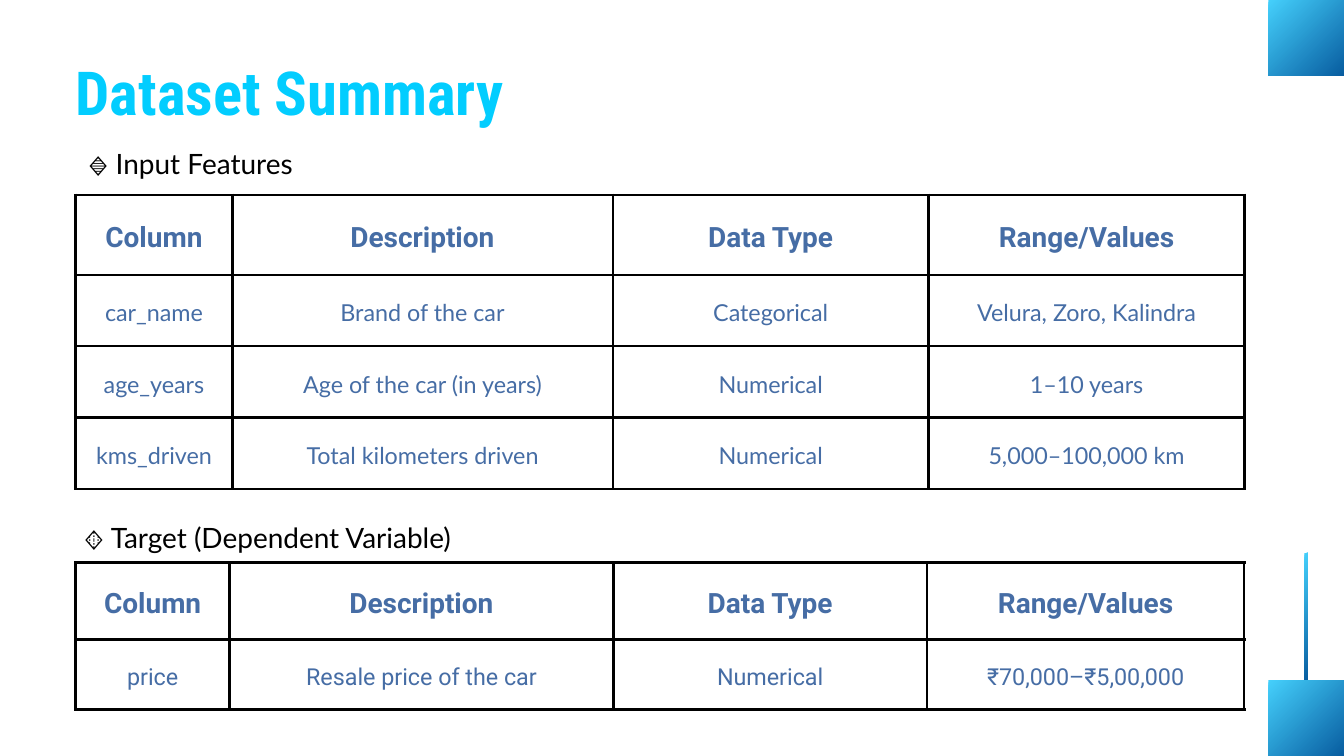
from typing import NamedTuple

from lxml.etree import SubElement
from pptx import Presentation
from pptx.dml.color import RGBColor
from pptx.enum.shapes import MSO_SHAPE
from pptx.enum.text import MSO_ANCHOR, PP_ALIGN
from pptx.oxml.ns import qn
from pptx.util import Cm, Pt

WIDE, HIGH = 50.8, 28.58
EDGE = 2.86  # left margin, and the side of the corner squares
PAD = 0.53
HEADS = ("Column", "Description", "Data Type", "Range/Values")


class Block(NamedTuple):
    left: float
    top: float
    width: float
    height: float


class Style(NamedTuple):
    size: float
    font: str
    color: str
    bold: bool
    line: float
    align: PP_ALIGN = PP_ALIGN.CENTER


class Label(NamedTuple):
    box: Block
    text: str
    style: Style


class Grid(NamedTuple):
    top: float
    cols: tuple[float, ...]
    head: float
    row: float
    body: Style
    rows: tuple[tuple[str, ...], ...]


TITLE = Style(65, "Roboto Condensed", "02CDFF", True, 71.5, PP_ALIGN.LEFT)
LABEL = Style(30, "Lato", "000000", False, 42)
HEAD = Style(30, "Roboto", "466DA5", True, 42)
BODY = Style(25, "Lato", "466DA5", False, 35)

BLOCKS = (
    Block(49.3, 20.9, 0.14, 4.84),
    Block(WIDE - EDGE, 0, EDGE, EDGE),
    Block(WIDE - EDGE, HIGH - EDGE, EDGE, EDGE),
)
LABELS = (
    Label(Block(EDGE, 2.31, 21.46, 2.57), "Dataset Summary", TITLE),
    Label(Block(2.13, 5.31, 10.13, 1.4), "🔹 Input Features", LABEL),
    Label(Block(1.65, 19.48, 16.92, 1.42), "🔸 Target (Dependent Variable)", LABEL),
)
GRIDS = (
    Grid(7.37, (5.92, 14.38, 11.94, 11.94), 3.02, 2.7, BODY, (
        ("car_name", "Brand of the car", "Categorical", "Velura, Zoro, Kalindra"),
        ("age_years", "Age of the car (in years)", "Numerical", "1–10 years"),
        ("kms_driven", "Total kilometers driven", "Numerical", "5,000–100,000 km"),
    )),
    Grid(21.26, (5.82, 14.5, 11.86, 11.99), 2.92, 2.64, BODY._replace(font="Roboto"), (
        ("price", "Resale price of the car", "Numerical", "₹70,000–₹5,00,000"),
    )),
)


def paint(color, code: str) -> None:
    color.rgb = RGBColor.from_string(code)


def write(frame, text: str, style: Style) -> None:
    para = frame.paragraphs[0]
    para.alignment = style.align
    para.line_spacing = Pt(style.line)
    run = para.add_run()
    run.text = text
    run.font.size = Pt(style.size)
    run.font.name = style.font
    run.font.bold = style.bold
    paint(run.font.color, style.color)


def draw_block(slide, block: Block) -> None:
    shape = slide.shapes.add_shape(MSO_SHAPE.RECTANGLE, *map(Cm, block))
    shape.shadow.inherit = False
    shape.line.fill.background()
    shape.fill.gradient()
    shape.fill.gradient_angle = 315
    for stop, code in zip(shape.fill.gradient_stops, ("45D0FC", "085DA0")):
        paint(stop.color, code)


def draw_label(slide, label: Label) -> None:
    frame = slide.shapes.add_textbox(*map(Cm, label.box)).text_frame
    frame.word_wrap = True
    frame.margin_left = frame.margin_right = 0
    frame.margin_top = frame.margin_bottom = 0
    write(frame, label.text, label.style)


def border(cell, code: str, width: float) -> None:
    props = cell._tc.get_or_add_tcPr()
    for spot, side in enumerate(("lnL", "lnR", "lnT", "lnB")):
        line = SubElement(props, qn(f"a:{side}"), w=str(Pt(width)))
        fill = SubElement(line, qn("a:solidFill"))
        SubElement(fill, qn("a:srgbClr"), val=code)
        props.insert(spot, line)  # borders must come before the fill


def draw_grid(slide, grid: Grid) -> None:
    rows = (HEADS, *grid.rows)
    highs = [grid.head] + [grid.row] * len(grid.rows)
    table = slide.shapes.add_table(
        len(rows), len(HEADS), Cm(EDGE), Cm(grid.top),
        Cm(sum(grid.cols)), Cm(sum(highs))).table
    table.first_row = table.horz_banding = False
    for col, width in zip(table.columns, grid.cols):
        col.width = Cm(width)
    for r, (texts, high) in enumerate(zip(rows, highs)):
        table.rows[r].height = Cm(high)
        for c, text in enumerate(texts):
            cell = table.cell(r, c)
            cell.vertical_anchor = MSO_ANCHOR.MIDDLE
            cell.margin_left = cell.margin_right = Cm(PAD)
            cell.margin_top = cell.margin_bottom = Cm(PAD)
            cell.fill.background()
            border(cell, "000000", 3)
            write(cell.text_frame, text, grid.body if r else HEAD)


def main() -> None:
    deck = Presentation()
    deck.slide_width, deck.slide_height = Cm(WIDE), Cm(HIGH)
    slide = deck.slides.add_slide(deck.slide_layouts[6])
    for block in BLOCKS:
        draw_block(slide, block)
    for grid in GRIDS:
        draw_grid(slide, grid)
    for label in LABELS:
        draw_label(slide, label)
    deck.save("out.pptx")


if __name__ == "__main__":
    main()
